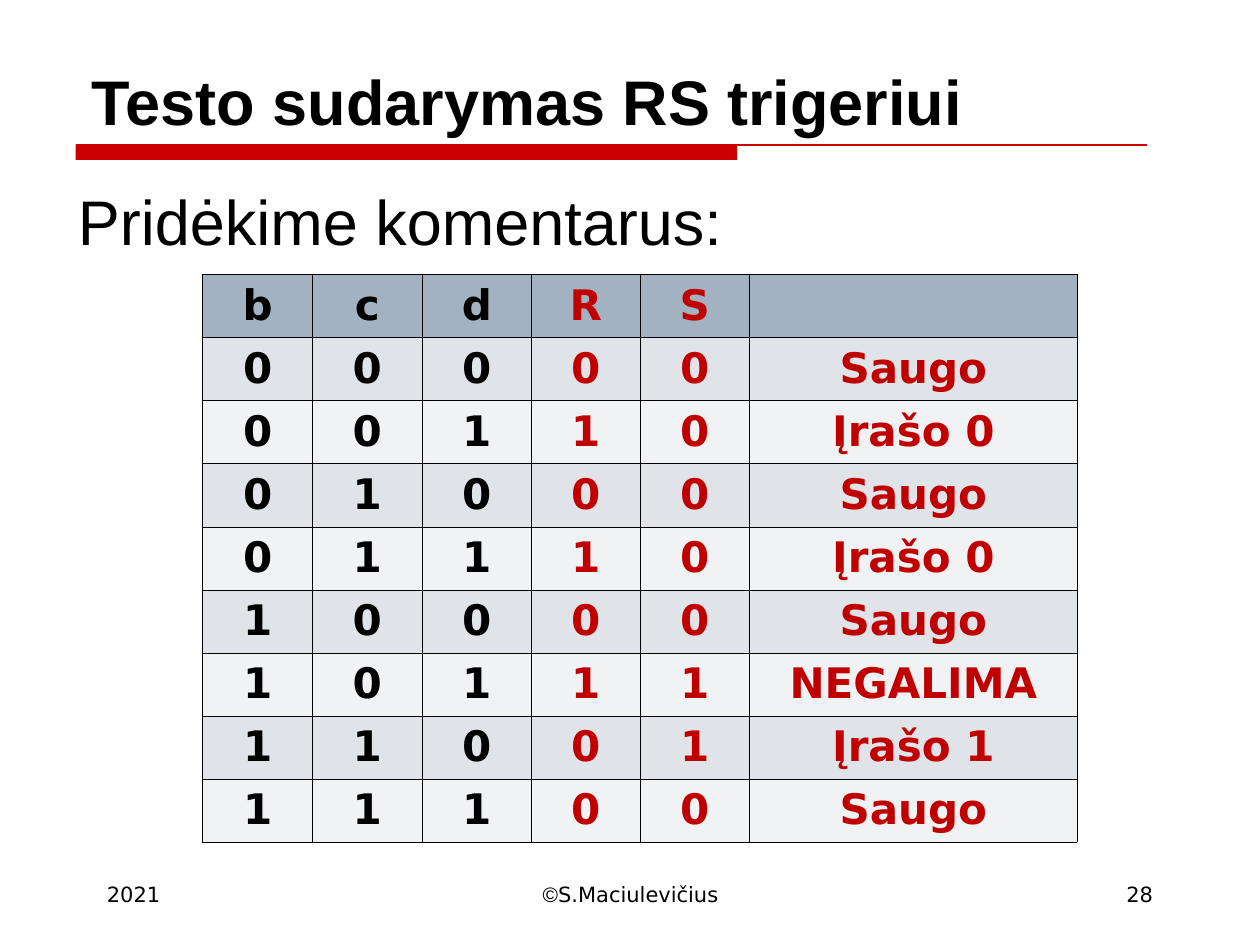
import pptx
import pptx.util
import pptx.dml.color
import pptx.enum.shapes
import pptx.enum.text
import lxml.etree
from dataclasses import dataclass

Inches, Pt = pptx.util.Inches, pptx.util.Pt
ALIGN = pptx.enum.text.PP_ALIGN
ANCHOR = pptx.enum.text.MSO_ANCHOR
RGB = pptx.dml.color.RGBColor.from_string
NS = "http://schemas.openxmlformats.org/drawingml/2006/main"


@dataclass
class Theme:
    ink: str = "000000"
    bar: str = "CC0000"
    mark: str = "C00000"
    head: str = "A3B2C1"
    bands: tuple = ("E0E4E9", "F0F2F4")
    sans: str = "Arial"
    body: str = "DejaVu Sans"
    big: int = 36
    mid: int = 24
    small: int = 12


theme = Theme()


def style(para, size, face, color=theme.ink, bold=False, align=ALIGN.LEFT):
    para.alignment = align
    font = para.font
    font.size, font.name, font.bold = Pt(size), face, bold
    font.color.rgb = RGB(color)


def border(cell):
    """Draw a thin line on all four sides of a cell."""
    props = cell._tc.get_or_add_tcPr()
    for i, side in enumerate(("lnL", "lnR", "lnT", "lnB")):
        line = lxml.etree.Element(f"{{{NS}}}{side}", w=str(Pt(0.45)))
        fill = lxml.etree.SubElement(line, f"{{{NS}}}solidFill")
        lxml.etree.SubElement(fill, f"{{{NS}}}srgbClr", val=theme.ink)
        props.insert(i, line)


deck = pptx.Presentation()
deck.slide_width, deck.slide_height = Inches(10), Inches(7.5)
slide = deck.slides.add_slide(deck.slide_layouts[5])
shapes = slide.shapes

# Title and the rule below it
title = shapes.title
title.left, title.top = Inches(0.63), Inches(0.33)
title.width, title.height = Inches(8.75), Inches(0.82)
title.text_frame.text = "Testo sudarymas RS trigeriui"
title.text_frame.vertical_anchor = ANCHOR.BOTTOM
style(title.text_frame.paragraphs[0], theme.big, theme.sans, bold=True)

bar = shapes.add_shape(pptx.enum.shapes.MSO_SHAPE.RECTANGLE,
                       Inches(0.6), Inches(1.15), Inches(5.25), Inches(0.12))
bar.shadow.inherit = False
bar.fill.solid()
bar.fill.fore_color.rgb = RGB(theme.bar)
bar.line.fill.background()

rule = shapes.add_connector(pptx.enum.shapes.MSO_CONNECTOR.STRAIGHT,
                            Inches(0.6), Inches(1.15), Inches(9.1), Inches(1.15))
rule.line.color.rgb = RGB(theme.bar)
rule.line.width = Pt(0.75)
lxml.etree.SubElement(rule._element.spPr, f"{{{NS}}}effectLst")

# Lead line
lead = shapes.add_textbox(Inches(0.52), Inches(1.47), Inches(9.23), Inches(0.87))
lead.text_frame.word_wrap = True
para = lead.text_frame.paragraphs[0]
para.text = "Pridėkime komentarus:"
para.line_spacing = 0.9
style(para, theme.big, theme.sans)

# Truth table: inputs in black, R, S and comment in red
rows = [
    ("b", "c", "d", "R", "S", ""),
    ("0", "0", "0", "0", "0", "Saugo"),
    ("0", "0", "1", "1", "0", "Įrašo 0"),
    ("0", "1", "0", "0", "0", "Saugo"),
    ("0", "1", "1", "1", "0", "Įrašo 0"),
    ("1", "0", "0", "0", "0", "Saugo"),
    ("1", "0", "1", "1", "1", "NEGALIMA"),
    ("1", "1", "0", "0", "1", "Įrašo 1"),
    ("1", "1", "1", "0", "0", "Saugo"),
]
widths = [0.87, 0.87, 0.87, 0.86, 0.87, 2.6]
table = shapes.add_table(len(rows), len(widths), Inches(1.61), Inches(2.18),
                         Inches(sum(widths)), Inches(0.5 * len(rows))).table
for col, width in zip(table.columns, widths):
    col.width = Inches(width)
for r, row in enumerate(rows):
    table.rows[r].height = Inches(0.5)
    for c, text in enumerate(row):
        cell = table.cell(r, c)
        cell.text = text
        cell.vertical_anchor = ANCHOR.TOP
        cell.fill.solid()
        cell.fill.fore_color.rgb = RGB(theme.bands[(r - 1) % 2] if r else theme.head)
        border(cell)
        style(cell.text_frame.paragraphs[0], theme.mid, theme.body,
              theme.ink if c < 3 else theme.mark, True, ALIGN.CENTER)

# Footer: date, author, page
feet = [
    (0.75, 2.08, ALIGN.LEFT, [("2021", theme.body)]),
    (3.42, 3.17, ALIGN.CENTER, [("©", theme.sans), ("S.Maciulevičius", theme.body)]),
    (7.17, 2.08, ALIGN.RIGHT, [("28", theme.body)]),
]
for left, width, align, runs in feet:
    box = shapes.add_textbox(Inches(left), Inches(6.95), Inches(width), Inches(0.5))
    box.text_frame.word_wrap = True
    para = box.text_frame.paragraphs[0]
    style(para, theme.small, theme.body, align=align)
    for text, face in runs:
        run = para.add_run()
        run.text = text
        if face != theme.body:
            run.font.name = face

deck.save("out.pptx")
